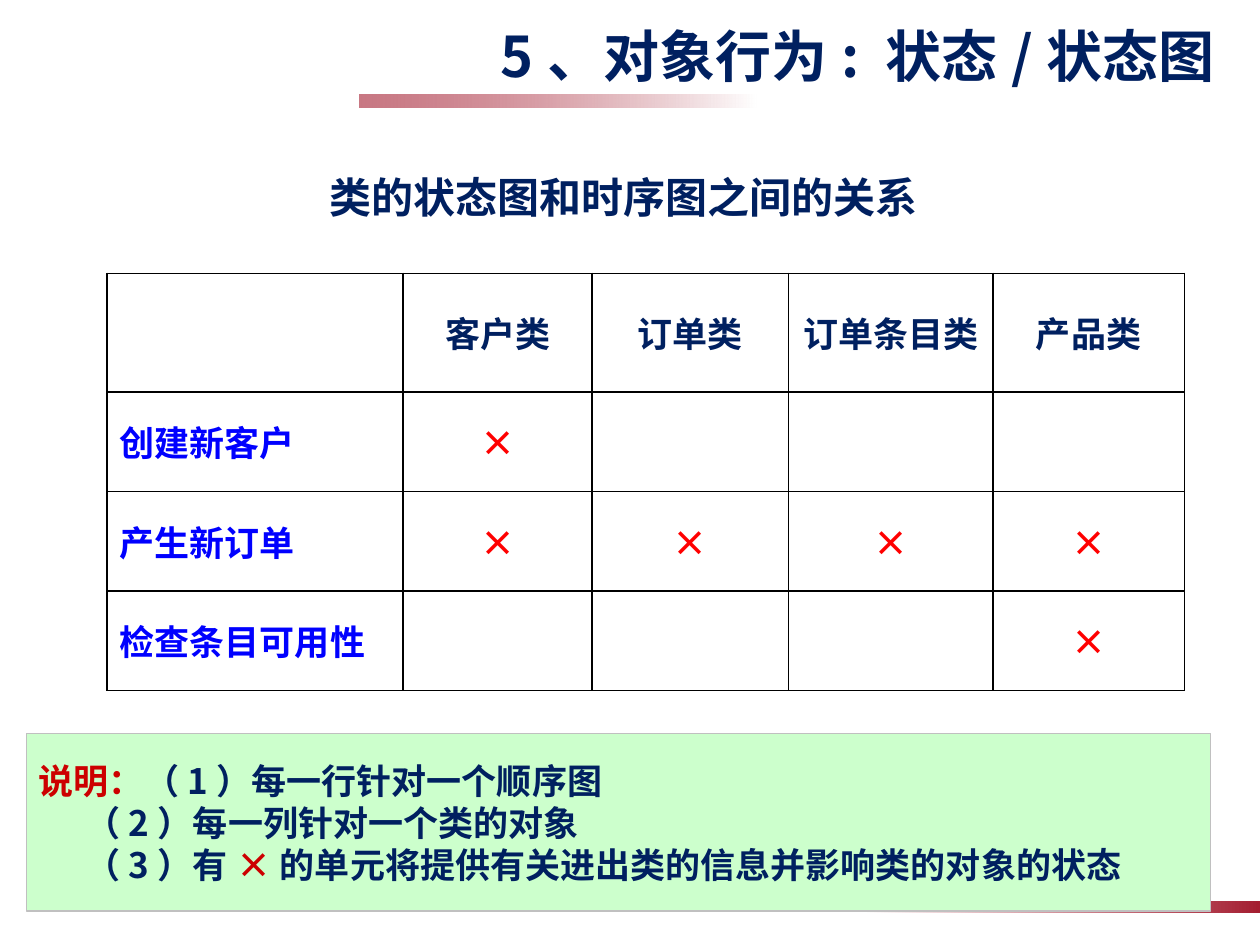
from dataclasses import dataclass

from lxml.etree import SubElement
from pptx import Presentation
from pptx.dml.color import RGBColor
from pptx.enum.shapes import MSO_SHAPE as Shape
from pptx.enum.text import MSO_ANCHOR as Anchor, MSO_AUTO_SIZE as AutoSize, PP_ALIGN as Align
from pptx.oxml.ns import qn
from pptx.util import Inches, Pt


@dataclass(frozen=True)
class Theme:
    font: str = "Noto Sans CJK SC"
    navy: str = "002060"
    blue: str = "0000FF"
    mark: str = "FF0000"
    note_red: str = "CC0000"
    note_fill: str = "CCFFCC"
    note_line: str = "C0C0C0"
    bar_red: str = "A41E31"
    white: str = "FFFFFF"
    border: str = "000000"
    title_size: int = 32
    subtitle_size: int = 24
    body_size: int = 20


@dataclass(frozen=True)
class Bar:
    left: float
    top: float
    rotation: int = 0
    opacity: int = 100


@dataclass(frozen=True)
class Sequence:
    name: str
    marked: tuple[str, ...]


THEME = Theme()
BARS = (Bar(2.85, 0.75, rotation=180, opacity=60), Bar(6.85, 7.15))
CLASSES = ("客户类", "订单类", "订单条目类", "产品类")
SEQUENCES = (
    Sequence("创建新客户", ("客户类",)),
    Sequence("产生新订单", CLASSES),
    Sequence("检查条目可用性", ("产品类",)),
)
COLUMN_WIDTHS = (2.35, 1.5, 1.56, 1.62, 1.52)
ROW_HEIGHTS = (0.94, 0.79, 0.79, 0.79)
NOTES = (
    (("说明：", THEME.note_red), ("（1）每一行针对一个顺序图", THEME.navy)),
    (("（2）每一列针对一个类的对象", THEME.navy),),
    (("（3）有", THEME.navy), ("×", THEME.note_red),
     ("的单元将提供有关进出类的信息并影响类的对象的状态", THEME.navy)),
)


def rgb(color: str) -> RGBColor:
    return RGBColor.from_string(color)


def style_paragraph(para, size: int, color: str, align: Align = Align.LEFT) -> None:
    para.alignment = align
    font = para.font
    font.size, font.bold, font.name = Pt(size), True, THEME.font
    font.color.rgb = rgb(color)
    east_asian = SubElement(para._p.pPr.find(qn("a:defRPr")), qn("a:ea"))
    east_asian.set("typeface", THEME.font)


def add_bar(slide, bar: Bar) -> None:
    box = slide.shapes.add_shape(
        Shape.RECTANGLE, Inches(bar.left), Inches(bar.top), Inches(3.15), Inches(0.1))
    box.shadow.inherit = False
    box.rotation = bar.rotation
    box.line.fill.background()
    box.fill.gradient()
    box.fill.gradient_angle = 0
    start, end = box.fill.gradient_stops
    start.color.rgb, end.color.rgb = rgb(THEME.white), rgb(THEME.bar_red)
    if bar.opacity < 100:
        color = end._gs.find(qn("a:srgbClr"))
        SubElement(color, qn("a:alpha")).set("val", str(bar.opacity * 1000))


def set_title(slide, text: str) -> None:
    title = slide.shapes.title
    title.left, title.top, title.width, title.height = map(Inches, (0, 0.13, 9.72, 0.75))
    frame = title.text_frame
    frame.text = text
    frame.auto_size, frame.vertical_anchor = AutoSize.NONE, Anchor.TOP
    frame.margin_left = frame.margin_right = Inches(0.08)
    frame.margin_top, frame.margin_bottom = Inches(0.04), Inches(0.05)
    style_paragraph(frame.paragraphs[0], THEME.title_size, THEME.navy, Align.RIGHT)


def add_subtitle(slide, text: str) -> None:
    box = slide.shapes.add_textbox(Inches(2.52), Inches(1.23), Inches(5.03), Inches(0.48))
    frame = box.text_frame
    frame.word_wrap = True
    frame.text = text
    para = frame.paragraphs[0]
    para.line_spacing = 1.2
    style_paragraph(para, THEME.subtitle_size, THEME.navy)


def draw_borders(cell) -> None:
    properties = cell._tc.get_or_add_tcPr()
    for position, side in enumerate(("lnL", "lnR", "lnT", "lnB")):
        line = properties.makeelement(qn(f"a:{side}"), {"w": str(Pt(1))})
        fill = SubElement(line, qn("a:solidFill"))
        SubElement(fill, qn("a:srgbClr")).set("val", THEME.border)
        properties.insert(position, line)


def fill_cell(cell, text: str, color: str, align: Align) -> None:
    cell.fill.background()
    draw_borders(cell)
    cell.vertical_anchor = Anchor.MIDDLE
    cell.text = text
    style_paragraph(cell.text_frame.paragraphs[0], THEME.body_size, color, align)


def add_relation_table(slide) -> None:
    frame = slide.shapes.add_table(
        len(ROW_HEIGHTS), len(COLUMN_WIDTHS), Inches(0.85), Inches(2.17),
        Inches(sum(COLUMN_WIDTHS)), Inches(sum(ROW_HEIGHTS)))
    table = frame.table
    table.first_row = table.horz_banding = False
    for column, width in zip(table.columns, COLUMN_WIDTHS):
        column.width = Inches(width)
    for row, height in zip(table.rows, ROW_HEIGHTS):
        row.height = Inches(height)

    for index, name in enumerate(("", *CLASSES)):
        fill_cell(table.cell(0, index), name, THEME.navy, Align.CENTER)
    for row, sequence in enumerate(SEQUENCES, start=1):
        fill_cell(table.cell(row, 0), sequence.name, THEME.blue, Align.LEFT)
        for column, name in enumerate(CLASSES, start=1):
            mark = "×" if name in sequence.marked else ""
            fill_cell(table.cell(row, column), mark, THEME.mark, Align.CENTER)


def add_notes_box(slide) -> None:
    box = slide.shapes.add_shape(
        Shape.RECTANGLE, Inches(0.21), Inches(5.82), Inches(9.4), Inches(1.41))
    box.shadow.inherit = False
    box.fill.solid()
    box.fill.fore_color.rgb = rgb(THEME.note_fill)
    box.line.color.rgb, box.line.width = rgb(THEME.note_line), Pt(0.75)
    frame = box.text_frame
    frame.word_wrap, frame.vertical_anchor = True, Anchor.MIDDLE
    for index, pieces in enumerate(NOTES):
        para = frame.add_paragraph() if index else frame.paragraphs[0]
        if index:
            para._p.get_or_add_pPr().set("marL", str(Inches(0.37)))
        style_paragraph(para, THEME.body_size, THEME.navy)
        for text, color in pieces:
            span = para.add_run()
            span.text = text
            span.font.color.rgb = rgb(color)


def main() -> None:
    deck = Presentation()
    deck.slide_width, deck.slide_height = Inches(10), Inches(7.5)
    slide = deck.slides.add_slide(deck.slide_layouts[5])
    for bar in BARS:
        add_bar(slide, bar)
    add_subtitle(slide, "类的状态图和时序图之间的关系")
    add_relation_table(slide)
    add_notes_box(slide)
    set_title(slide, "5、对象行为: 状态/状态图")
    deck.save("out.pptx")


if __name__ == "__main__":
    main()
